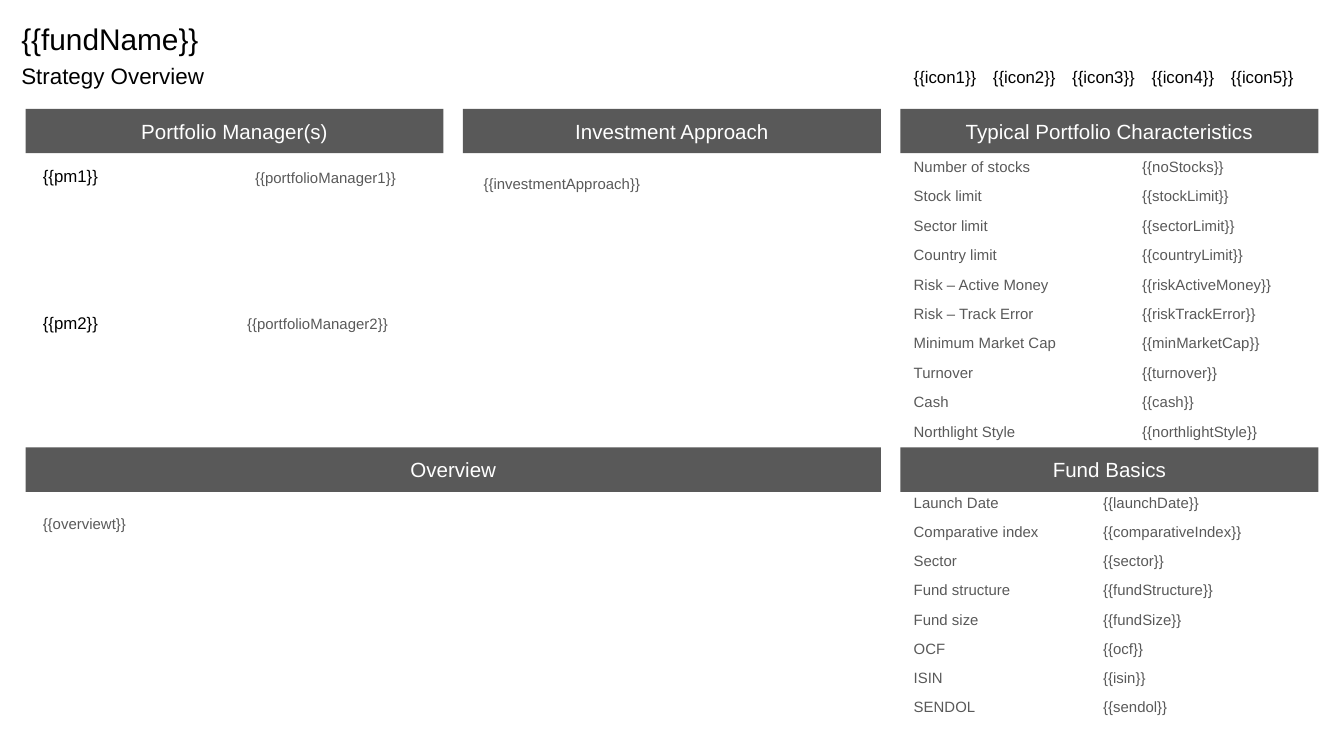
import pptx
import pptx.util
import pptx.dml.color
import pptx.enum.shapes
import pptx.enum.text

inch = pptx.util.Inches
deck = pptx.Presentation()
deck.slide_width, deck.slide_height = inch(10), inch(10 * 9 / 16)
slide = deck.slides.add_slide(deck.slide_layouts[6])

GREY, BLACK, WHITE = "595959", "000000", "FFFFFF"

# Three equal columns, and two rows of panels
wide, band = 3.11, 0.33
left, right = 0.19, 6.7
step = (right - left) / 2
cols = [left + n * step for n in range(3)]
rows = [0.81, 3.33]


def rgb(code):
    return pptx.dml.color.RGBColor.from_string(code)


def write(text, x, y, w, h, size=8, color=GREY, fill=None):
    """Add a text box, or a centred band when a fill is given."""
    box = [inch(v) for v in (x, y, w, h)]
    if fill:
        shape = slide.shapes.add_shape(pptx.enum.shapes.MSO_SHAPE.RECTANGLE, *box)
        shape.shadow.inherit = False
        shape.fill.solid()
        shape.fill.fore_color.rgb = rgb(fill)
        shape.line.fill.background()
    else:
        shape = slide.shapes.add_textbox(*box)
    frame = shape.text_frame
    frame.word_wrap = True
    frame.margin_left = frame.margin_right = inch(0.1)
    frame.margin_top = frame.margin_bottom = inch(0.1)
    anchor = pptx.enum.text.MSO_ANCHOR
    frame.vertical_anchor = anchor.MIDDLE if fill else anchor.TOP
    para = frame.paragraphs[0]
    align = pptx.enum.text.PP_ALIGN
    para.alignment = align.CENTER if fill else align.LEFT
    if size < 10:
        para.line_spacing = pptx.util.Pt(11.7)
    run = para.add_run()
    run.text = text
    run.font.name = "Arial"
    run.font.size = pptx.util.Pt(size)
    run.font.color.rgb = rgb(color)


# Title and icons
write("{{fundName}}", 0.06, 0.05, 4.09, 0.45, size=16, color=BLACK)
write("Strategy Overview", 0.06, 0.36, 4.09, 0.39, size=12, color=BLACK)
for n in range(5):
    write(f"{{{{icon{n + 1}}}}}", right + n * 0.59, 0.4, 0.74, 0.39, size=9, color=BLACK)

# Panel headings: text, column, row, columns spanned
heads = [
    ("Portfolio Manager(s)", 0, 0, 1),
    ("Investment Approach", 1, 0, 1),
    ("Typical Portfolio Characteristics", 2, 0, 1),
    ("Overview", 0, 1, 2),
    ("Fund Basics", 2, 1, 1),
]
for text, col, row, span in heads:
    write(text, cols[col], rows[row], wide + (span - 1) * step, band,
          size=11, color=WHITE, fill=GREY)

# Managers, approach and overview
for n, (x, y, w) in enumerate([(1.8, 1.14, 1.5), (1.74, 2.23, 1.61)], 1):
    write(f"{{{{pm{n}}}}}", 0.22, y, 1.32, 1.02, size=9, color=BLACK)
    write(f"{{{{portfolioManager{n}}}}}", x, y, w, 0.96)
write("{{investmentApproach}}", 3.5, 1.19, 3.06, 1.9)
write("{{overviewt}}", 0.22, 3.72, 6.36, 1.5)

# Label and value lists of the right column
traits = [
    ("Number of stocks", "noStocks"),
    ("Stock limit", "stockLimit"),
    ("Sector limit", "sectorLimit"),
    ("Country limit", "countryLimit"),
    ("Risk – Active Money", "riskActiveMoney"),
    ("Risk – Track Error", "riskTrackError"),
    ("Minimum Market Cap", "minMarketCap"),
    ("Turnover", "turnover"),
    ("Cash", "cash"),
    ("Northlight Style", "northlightStyle"),
]
basics = [
    ("Launch Date", "launchDate"),
    ("Comparative index", "comparativeIndex"),
    ("Sector", "sector"),
    ("Fund structure", "fundStructure"),
    ("Fund size", "fundSize"),
    ("OCF", "ocf"),
    ("ISIN", "isin"),
    ("SENDOL", "sendol"),
]
# Pairs, first and last top, label width, value left and width
lists = [
    (traits, 1.06, 3.03, 1.32, 8.4, 1.32),
    (basics, 3.56, 5.08, 1.18, 8.11, 1.7),
]
for pairs, top, last, label, x, w in lists:
    pitch = (last - top) / (len(pairs) - 1)
    for n, (name, key) in enumerate(pairs):
        y = top + n * pitch
        write(name, right, y, label, 0.39)
        write("{{" + key + "}}", x, y, w, 0.39)

deck.save("out.pptx")
